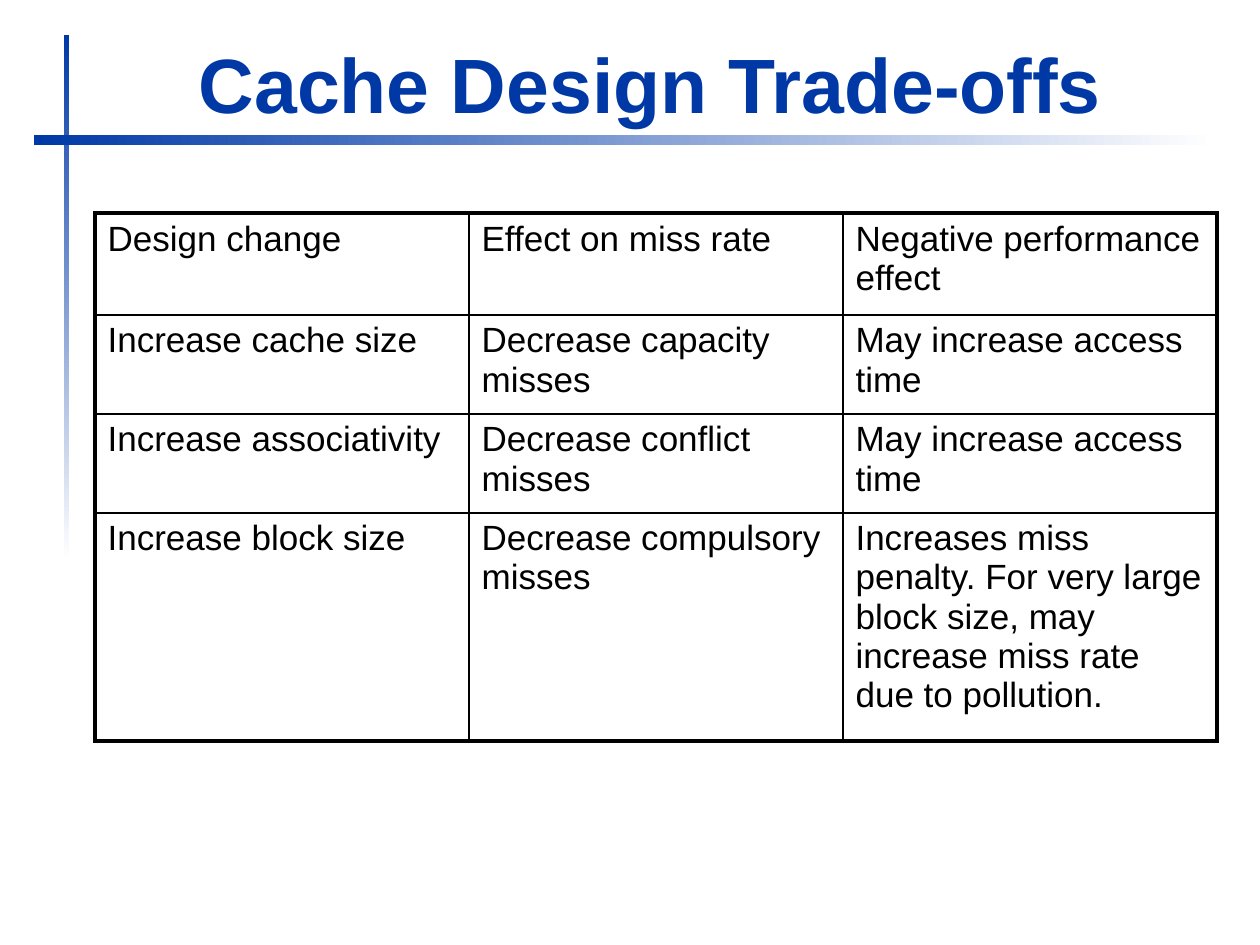
"""Build the slide on cache design trade-offs."""
import pptx
import pptx.dml.color
import pptx.enum.shapes
import pptx.enum.text
import pptx.oxml
import pptx.oxml.ns
import pptx.util

COLORS = {"accent": "0039A6", "fade": "FFFFFF", "text": "000000", "border": "000000"}
ROWS = [
    ["Design change", "Effect on miss rate", "Negative performance effect"],
    ["Increase cache size", "Decrease capacity misses", "May increase access time"],
    ["Increase associativity", "Decrease conflict misses", "May increase access time"],
    ["Increase block size", "Decrease compulsory misses",
     "Increases miss penalty. For very large block size, may increase miss rate "
     "due to pollution."],
]
ROW_HEIGHTS = [102, 99, 99, 228]
COL_WIDTH = 374
ROW_RULES = [2.25, 1.5, 1, 1, 2.25]
COL_RULES = [2.25, 1, 1, 2.25]


def px(n):
    return pptx.util.Emu(round(n * 914400 / 126))


def rgb(name):
    return pptx.dml.color.RGBColor.from_string(COLORS[name])


class Deck:
    def __init__(self, width, height):
        self.prs = pptx.Presentation()
        self.prs.slide_width, self.prs.slide_height = px(width), px(height)
        self.font = "Arial"
        self.s = None

    def add_slide(self):
        self.s = self.prs.slides.add_slide(self.prs.slide_layouts[5])

    def set_text(self, tf, text, size, color, bold=False):
        tf.text = text
        for p in tf.paragraphs:
            p.alignment = pptx.enum.text.PP_ALIGN.LEFT
            for r in p.runs:
                r.font.name = self.font
                r.font.size = pptx.util.Pt(size)
                r.font.bold = bold
                r.font.color.rgb = rgb(color)

    def title(self, text, x, y, w, h):
        sp = self.s.shapes.title
        sp.left, sp.top, sp.width, sp.height = px(x), px(y), px(w), px(h)
        tf = sp.text_frame
        tf.word_wrap = True
        tf.auto_size = pptx.enum.text.MSO_AUTO_SIZE.NONE
        tf.vertical_anchor = pptx.enum.text.MSO_ANCHOR.BOTTOM
        self.set_text(tf, text, 44, "accent", bold=True)

    def fading_bar(self, x, y, w, h, angle):
        sp = self.s.shapes.add_shape(
            pptx.enum.shapes.MSO_SHAPE.RECTANGLE, px(x), px(y), px(w), px(h))
        sp.shadow.inherit = False
        sp.line.fill.background()
        sp.fill.gradient()
        sp.fill.gradient_angle = angle
        for stop, name in zip(sp.fill.gradient_stops, ("accent", "fade")):
            stop.color.rgb = rgb(name)

    def border(self, cell, side, width):
        tcPr = cell._tc.get_or_add_tcPr()
        tcPr.append(pptx.oxml.parse_xml(
            f'<a:ln{side} {pptx.oxml.ns.nsdecls("a")} w="{pptx.util.Pt(width)}">'
            f'<a:solidFill><a:srgbClr val="{COLORS["border"]}"/></a:solidFill>'
            f'</a:ln{side}>'))

    def table(self, x, y, rows, col_width, heights, col_rules, row_rules):
        n = len(rows[0])
        tbl = self.s.shapes.add_table(
            len(rows), n, px(x), px(y), px(col_width * n), px(sum(heights))).table
        tbl.first_row = tbl.horz_banding = False
        for col in tbl.columns:
            col.width = px(col_width)
        for i, texts in enumerate(rows):
            tbl.rows[i].height = px(heights[i])
            for j, text in enumerate(texts):
                cell = tbl.cell(i, j)
                self.set_text(cell.text_frame, text, 20, "text")
                self.border(cell, "L", col_rules[j])
                self.border(cell, "R", col_rules[j + 1])
                self.border(cell, "T", row_rules[i])
                self.border(cell, "B", row_rules[i + 1])
                cell.fill.background()


def main():
    deck = Deck(1260, 945)
    deck.add_slide()
    deck.fading_bar(64, 35, 5, 525, 270)
    deck.fading_bar(34, 135, 1181, 10, 0)
    deck.title("Cache Design Trade-offs", 186, 29, 1074, 106)
    deck.table(95, 213, ROWS, COL_WIDTH, ROW_HEIGHTS, COL_RULES, ROW_RULES)
    deck.prs.save("out.pptx")


if __name__ == "__main__":
    main()
